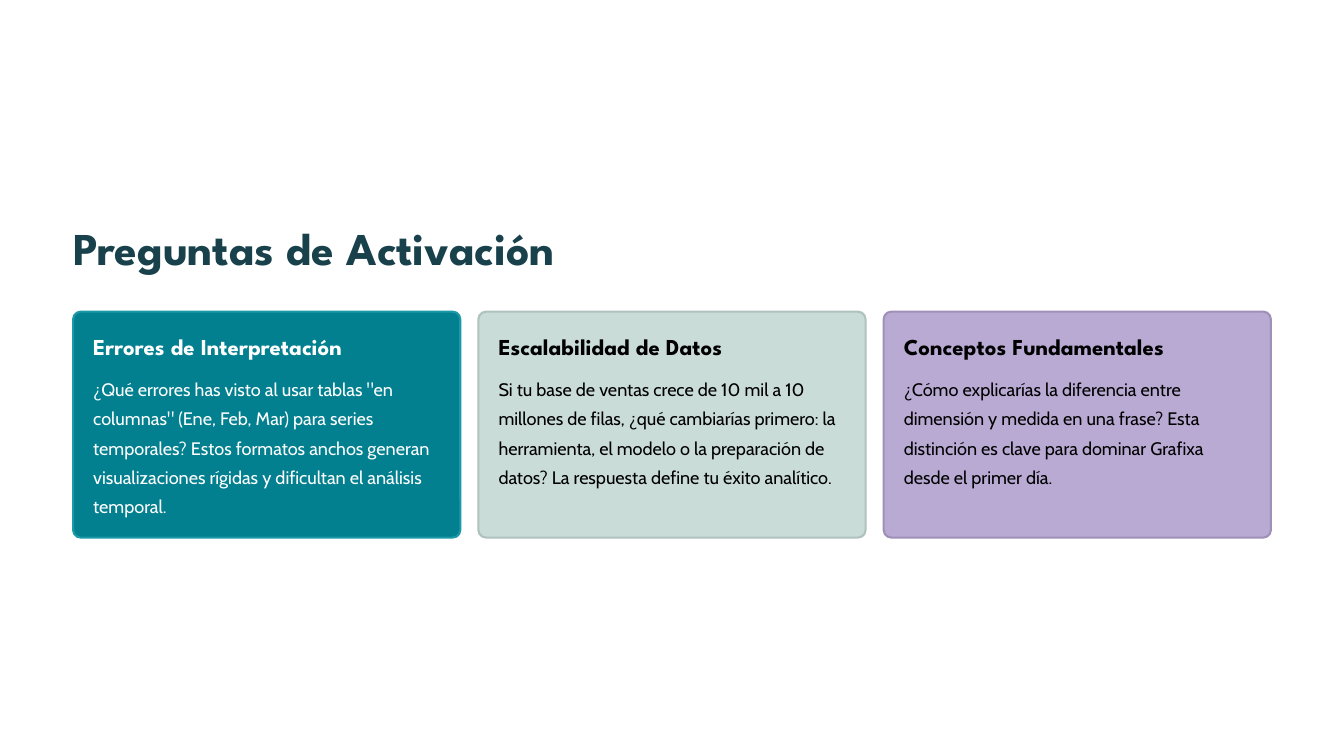
"""Build the slide with three activation questions on coloured cards."""
from pptx import Presentation
from pptx.dml.color import RGBColor
from pptx.enum.shapes import MSO_SHAPE
from pptx.util import Inches, Pt

ROUNDED = MSO_SHAPE.ROUNDED_RECTANGLE
HEADING_FONT = "League Spartan"
BODY_FONT = "Cabin"
LEFT = 0.87
CARD_TOP = 3.71
CARD_WIDTH = 4.61
CARD_HEIGHT = 2.69
CARD_STEP = 4.825
PADDING = 0.24
TEXT_WIDTH = CARD_WIDTH - 2 * PADDING

CARDS = [
    ("Errores de Interpretación",
     '¿Qué errores has visto al usar tablas "en columnas" (Ene, Feb, Mar) para '
     "series temporales? Estos formatos anchos generan visualizaciones rígidas "
     "y dificultan el análisis temporal.",
     "028090", "1B99A9", "FFFFFF"),
    ("Escalabilidad de Datos",
     "Si tu base de ventas crece de 10 mil a 10 millones de filas, ¿qué "
     "cambiarías primero: la herramienta, el modelo o la preparación de datos? "
     "La respuesta define tu éxito analítico.",
     "CADCD8", "B0C2BE", "000000"),
    ("Conceptos Fundamentales",
     "¿Cómo explicarías la diferencia entre dimensión y medida en una frase? "
     "Esta distinción es clave para dominar Grafixa desde el primer día.",
     "B9AAD4", "9F90BA", "000000"),
]


def color(value):
    """Return the colour for a hex string."""
    return RGBColor.from_string(value)


def add_text(slide, text, left, top, width, height, font_name, size, spacing,
             text_color, bold=False, wrap=False):
    """Add a text box without margins, holding one paragraph."""
    box = slide.shapes.add_textbox(Inches(left), Inches(top), Inches(width), Inches(height))
    frame = box.text_frame
    frame.margin_left = frame.margin_right = frame.margin_top = frame.margin_bottom = 0
    frame.word_wrap = wrap
    frame.text = text
    paragraph = frame.paragraphs[0]
    paragraph.line_spacing = Pt(spacing)
    font = paragraph.runs[0].font
    font.name = font_name
    font.size = Pt(size)
    font.bold = bold
    font.color.rgb = color(text_color)


def add_card(slide, left, heading, question, fill, border, text_color):
    """Add a rounded card with its heading and question."""
    card = slide.shapes.add_shape(ROUNDED, Inches(left), Inches(CARD_TOP),
                                  Inches(CARD_WIDTH), Inches(CARD_HEIGHT))
    card.adjustments[0] = 0.034
    card.shadow.inherit = False
    card.fill.solid()
    card.fill.fore_color.rgb = color(fill)
    card.line.color.rgb = color(border)
    card.line.width = Pt(1.8)
    text_left = left + PADDING
    add_text(slide, heading, text_left, CARD_TOP + PADDING, TEXT_WIDTH, 0.34,
             HEADING_FONT, 19.5, 24, text_color, bold=True)
    add_text(slide, question, text_left, 4.42, TEXT_WIDTH, 1.74,
             BODY_FONT, 15.5, 25, text_color, wrap=True)


def main():
    """Build and save the presentation."""
    presentation = Presentation()
    presentation.slide_width = Inches(16)
    presentation.slide_height = Inches(9)
    slide = presentation.slides.add_slide(presentation.slide_layouts[6])
    add_text(slide, "Preguntas de Activación", LEFT, 2.6, 6.24, 0.68,
             HEADING_FONT, 39, 48.5, "19414B", bold=True)
    for index, card in enumerate(CARDS):
        add_card(slide, LEFT + index * CARD_STEP, *card)
    presentation.save("out.pptx")


if __name__ == "__main__":
    main()
